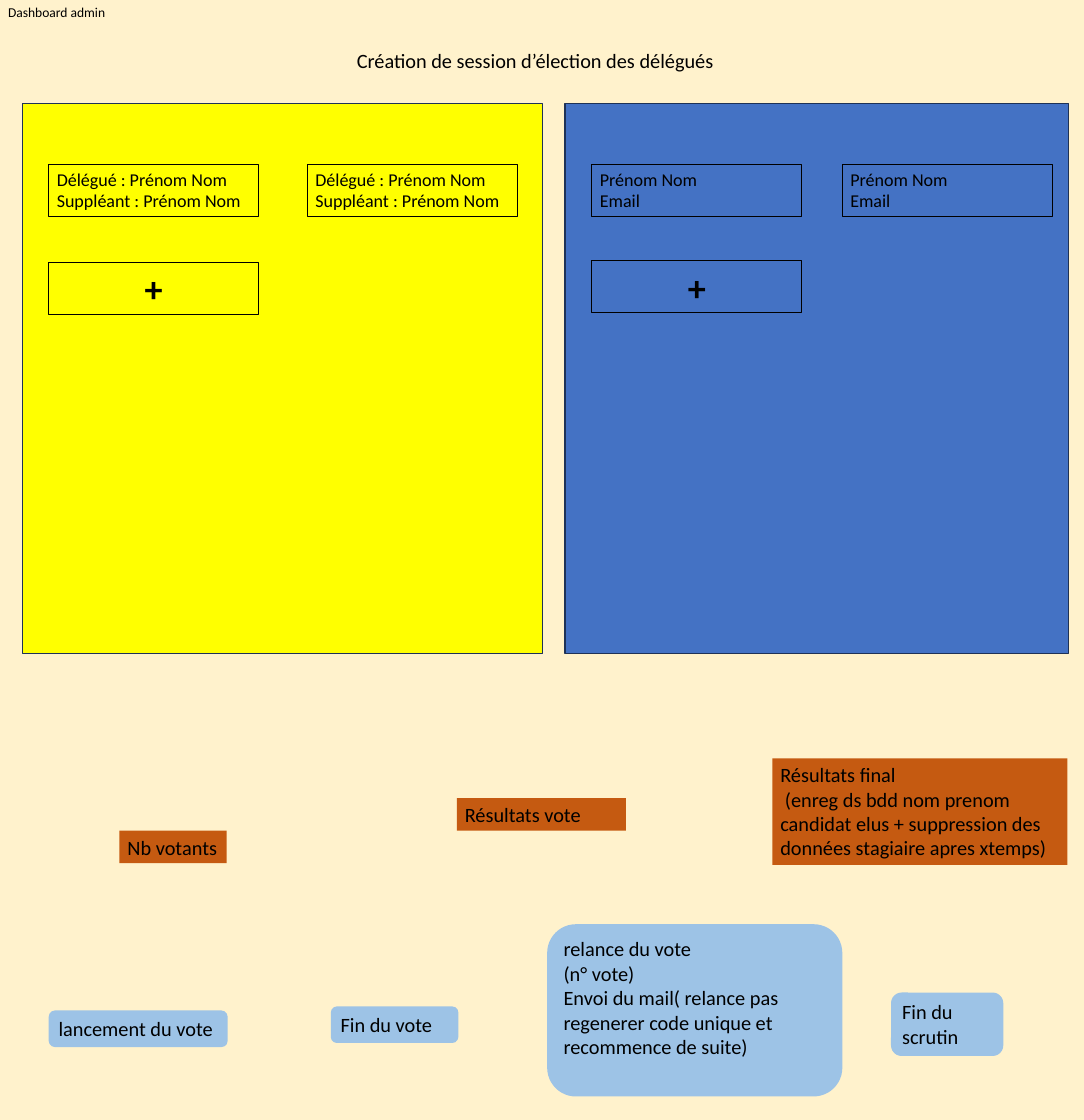
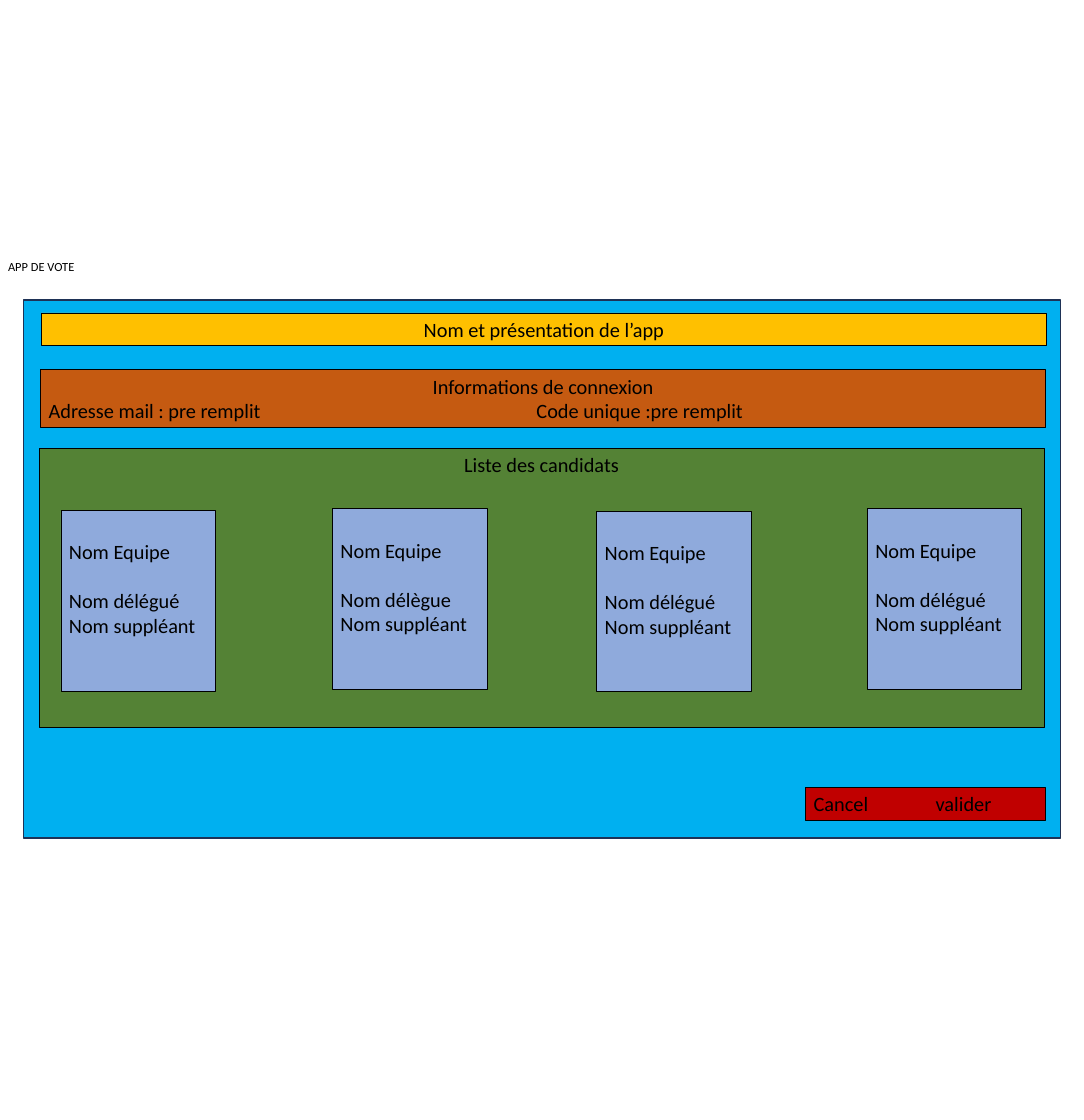
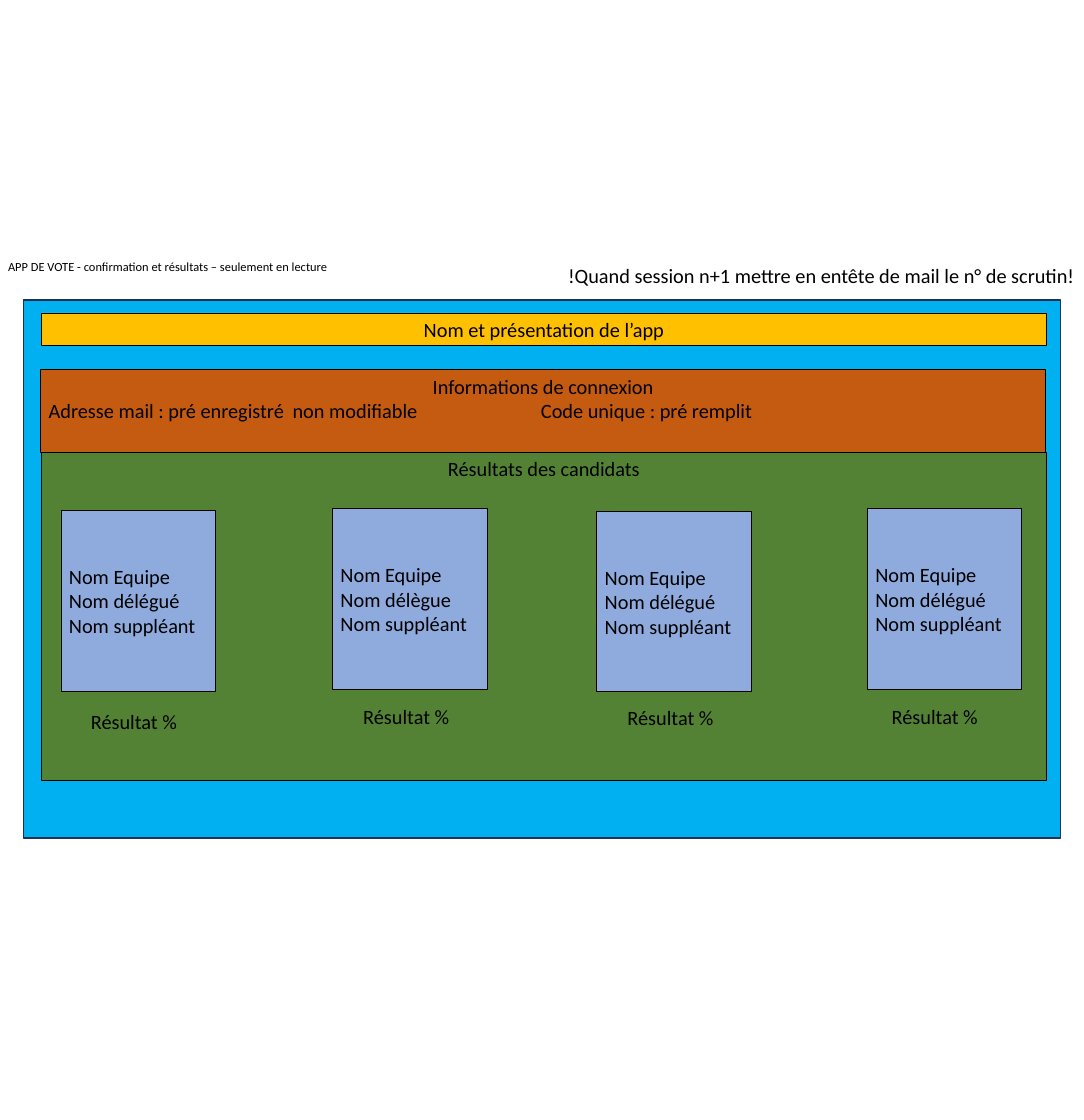
from pptx import Presentation
from pptx import util as u
from pptx.dml.color import RGBColor
from pptx.enum import shapes, text
from pptx.oxml.ns import qn
from lxml import etree

# Shared look
FONT = "Calibri"
BLACK, NAVY = "000000", "1E3256"
CREAM, YELLOW, BLUE = "FFF2CC", "FFFF00", "4472C4"
ORANGE, PALE_BLUE = "C55A11", "9DC3E6"
SKY, GOLD, GREEN, LILAC, RED = "00B0F0", "FFC000", "548235", "8FAADC", "C00000"
WIDTH, HEIGHT = 960, 992
LINE_HEIGHT = 22

# Dashboard content: places are left, top, width, height in points
PANELS = [
    {"place": (20.2, 91.4, 460, 487.4), "fill": YELLOW, "lefts": (43.2, 272.2),
     "plus_top": 232.6, "lines": ["Délégué : Prénom Nom", "Suppléant : Prénom Nom"]},
    {"place": (500.4, 91.4, 445.7, 487.4), "fill": BLUE, "lefts": (524.2, 746),
     "plus_top": 231.1, "lines": ["Prénom Nom", "Email"]},
]
ENTRY_TOP, ENTRY_WIDTH, ENTRY_HEIGHT = 145.4, 185.8, 46.1
OUTCOMES = [
    ((105.8, 735.8, 95, 28.8), ["Nb votants"]),
    ((404.6, 707, 149.8, 28.8), ["Résultats vote"]),
    ((684, 671.8, 261.4, 94.3),
     ["Résultats final",
      " (enreg ds bdd nom prenom candidat elus + suppression des données stagiaire apres xtemps)"]),
]
STEPS = [
    ((43.2, 895, 158.4, 32.4), ["lancement du vote"]),
    ((293, 891.4, 113, 32.4), ["Fin du vote"]),
    ((484.6, 818.6, 261.4, 152.6),
     ["relance du vote", "(n° vote)",
      "Envoi du mail( relance pas regenerer code unique et recommence de suite)"]),
    ((789.1, 879.1, 99.4, 56.2), ["Fin du scrutin"]),
]

# Voting app content
CARDS = [(54, 452.2, "Nom délégué"), (294.5, 450.7, "Nom délègue"),
         (528.5, 452.9, "Nom délégué"), (768.2, 450.7, "Nom délégué")]
CARD_WIDTH, CARD_HEIGHT = 136.8, 159.8
BAND_WIDTH = 890
RESULTS = [(73.4, 625), (314.6, 620), (548.6, 621.4), (782.6, 620)]
VOTE = {
    "heading": "APP DE VOTE",
    "login": "Adresse mail : pre remplit\tCode unique :pre remplit",
    "login_tabs": [432], "login_height": 51.1,
    "list": "Liste des candidats", "list_place": (34.6, 397.4, BAND_WIDTH, 247),
    "lines_above": 1, "name_gap": LINE_HEIGHT,
}
CONFIRMATION = {
    "heading": "APP DE VOTE - confirmation et résultats – seulement en lecture",
    "login": "Adresse mail : pré enregistré\tnon modifiable\tCode unique : pré remplit",
    "login_tabs": [216, 436], "login_height": 72.7,
    "list": "Résultats des candidats", "list_place": (36.7, 400.3, BAND_WIDTH, 290.9),
    "lines_above": 2, "name_gap": 0,
}


def color(value):
    return RGBColor.from_string(value)


def add_tab_stops(paragraph, stops):
    properties = paragraph._p.get_or_add_pPr()
    tab_list = etree.SubElement(properties, qn("a:tabLst"))
    for stop in stops:
        etree.SubElement(tab_list, qn("a:tab"), pos=str(u.Pt(stop)), algn="l")


def write(shape, lines, size=18, bold=False, centered=(), tabs=(), gaps=None,
          top=3.6, wrap=True):
    """Fill a shape with paragraphs; centered and gaps refer to line numbers."""
    frame = shape.text_frame
    frame.word_wrap = wrap
    frame.vertical_anchor = text.MSO_ANCHOR.TOP
    frame.margin_top = u.Pt(top)
    for number, line in enumerate(lines):
        paragraph = frame.add_paragraph() if number else frame.paragraphs[0]
        paragraph.alignment = (text.PP_ALIGN.CENTER if number in centered
                               else text.PP_ALIGN.LEFT)
        if gaps and number in gaps:
            paragraph.space_before = u.Pt(gaps[number])
        if "\t" in line:
            add_tab_stops(paragraph, tabs)
        run = paragraph.add_run()
        run.text = line
        run.font.name, run.font.size, run.font.bold = FONT, u.Pt(size), bold
        run.font.color.rgb = color(BLACK)


def add_box(slide, place, lines=(), fill=None, line=None, weight=0.75,
            rounded=False, **style):
    kind = (shapes.MSO_SHAPE.ROUNDED_RECTANGLE if rounded
            else shapes.MSO_SHAPE.RECTANGLE)
    shape = slide.shapes.add_shape(kind, *map(u.Pt, place))
    shape.shadow.inherit = False
    if fill:
        shape.fill.solid()
        shape.fill.fore_color.rgb = color(fill)
    else:
        shape.fill.background()
    if line:
        shape.line.color.rgb = color(line)
        shape.line.width = u.Pt(weight)
    else:
        shape.line.fill.background()
    if lines:
        write(shape, lines, **style)


def add_label(slide, place, line, **style):
    write(slide.shapes.add_textbox(*map(u.Pt, place)), [line], **style)


def build_dashboard(slide):
    slide.background.fill.solid()
    slide.background.fill.fore_color.rgb = color(CREAM)
    add_label(slide, (0, 0, WIDTH, 21.6), "Dashboard admin", size=12)
    add_label(slide, (308.9, 38.9, 342, 28.8),
              "Création de session d’élection des délégués")
    # Panels with their entries and plus button
    for panel in PANELS:
        add_box(slide, panel["place"], fill=panel["fill"], line=NAVY, weight=1)
        for left in panel["lefts"]:
            add_box(slide, (left, ENTRY_TOP, ENTRY_WIDTH, ENTRY_HEIGHT),
                    panel["lines"], line=BLACK, size=16)
        add_box(slide, (panel["lefts"][0], panel["plus_top"], ENTRY_WIDTH, ENTRY_HEIGHT),
                ["+"], line=BLACK, size=32, bold=True, centered=[0])
    # Outcomes and steps of the vote
    for place, lines in OUTCOMES:
        add_box(slide, place, lines, fill=ORANGE)
    for place, lines in STEPS:
        add_box(slide, place, lines, fill=PALE_BLUE, rounded=True)


def build_app(slide, screen):
    add_label(slide, (0, 226.1, 367, 20.9), screen["heading"], size=11)
    add_box(slide, (20.9, 265.7, 918, 476.6), fill=SKY, line=NAVY, weight=1)
    # Bands
    add_box(slide, (36.7, 277.2, BAND_WIDTH, 28.8), ["Nom et présentation de l’app"],
            fill=GOLD, line=BLACK, centered=[0])
    add_box(slide, (36, 327.6, BAND_WIDTH, screen["login_height"]),
            ["Informations de connexion", screen["login"]],
            fill=ORANGE, line=BLACK, centered=[0], tabs=screen["login_tabs"])
    add_box(slide, screen["list_place"], [screen["list"]],
            fill=GREEN, line=BLACK, centered=[0])
    # Candidate cards
    for left, top, delegate in CARDS:
        add_box(slide, (left, top, CARD_WIDTH, CARD_HEIGHT),
                ["Nom Equipe", delegate, "Nom suppléant"], fill=LILAC, line=BLACK,
                top=3.6 + LINE_HEIGHT * screen["lines_above"],
                gaps={1: screen["name_gap"]})


def main():
    presentation = Presentation()
    presentation.slide_width, presentation.slide_height = u.Pt(WIDTH), u.Pt(HEIGHT)
    dashboard, vote, confirmation = (
        presentation.slides.add_slide(presentation.slide_layouts[6]) for _ in range(3))
    build_dashboard(dashboard)

    build_app(vote, VOTE)
    add_box(vote, (713.5, 697.7, 212.4, 28.8), ["Cancel\tvalider"],
            fill=RED, line=BLACK, tabs=[108])

    build_app(confirmation, CONFIRMATION)
    for left, top in RESULTS:
        add_label(confirmation, (left, top, 97.2, 28.8), "Résultat %")
    add_label(confirmation, (496, 229.7, 464, 28.8),
              "!Quand session n+1 mettre en entête de mail le n° de scrutin!", wrap=False)
    presentation.save("out.pptx")


if __name__ == "__main__":
    main()
